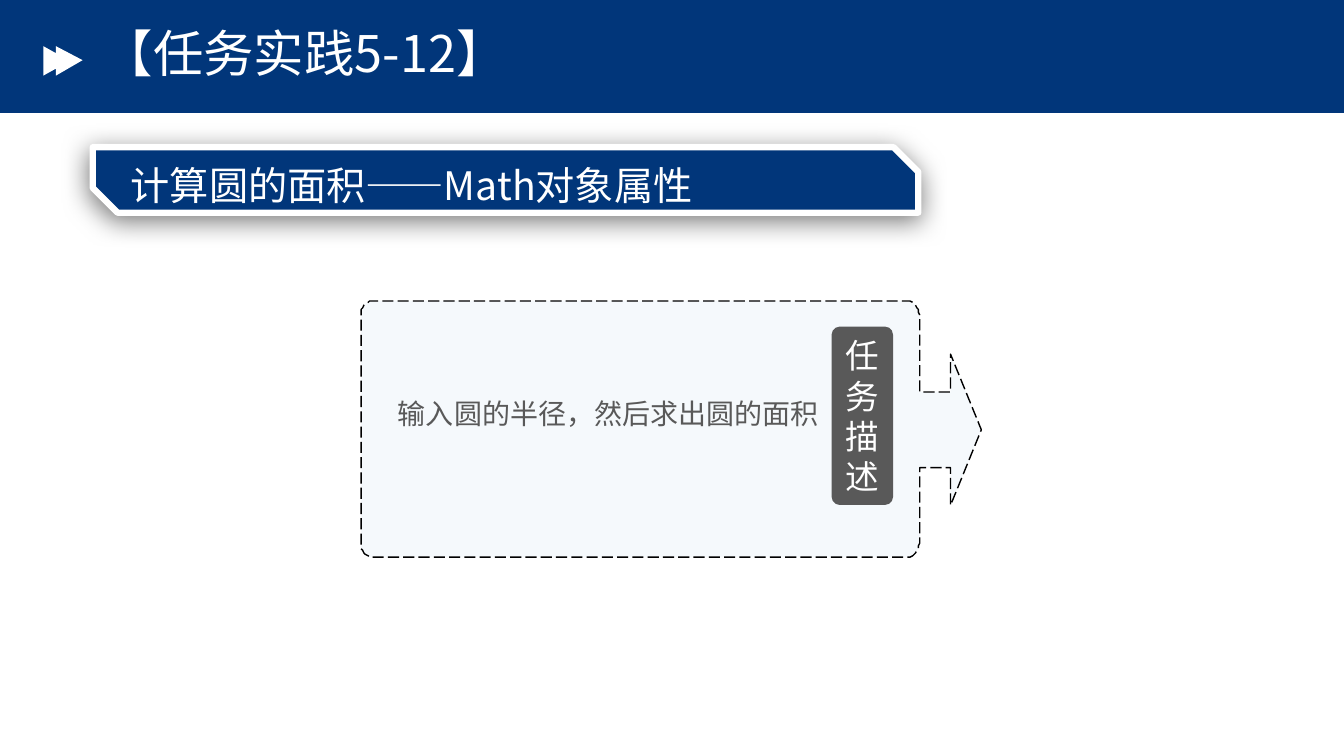
import math
from dataclasses import dataclass

from lxml import etree
from pptx import Presentation
from pptx.dml.color import RGBColor
from pptx.enum import dml, shapes, text
from pptx.oxml import ns
from pptx.util import Pt

COLORS = {"navy": "01367A", "white": "FFFFFF", "pale": "BDD7EE",
          "gray": "595959", "black": "000000"}
CJK = "Noto Sans CJK SC"
Point = tuple[float, float]


@dataclass
class Caption:
    words: str
    size: float
    color: str = "white"
    font: str = CJK
    spacing: float = 1.0
    anchor: text.MSO_ANCHOR = text.MSO_ANCHOR.TOP
    align: text.PP_ALIGN = text.PP_ALIGN.LEFT


@dataclass
class Block:
    box: tuple[float, float, float, float]
    kind: shapes.MSO_SHAPE | None = None  # None makes a plain text box
    fill: str = "navy"
    adjustments: tuple[float, ...] = ()
    caption: Caption | None = None


BLOCKS = {
    "header": Block((0, 0, 960, 80.64), shapes.MSO_SHAPE.RECTANGLE),
    "banner": Block((66.24, 105.12, 589.68, 46.8),
                    shapes.MSO_SHAPE.SNIP_2_DIAG_RECTANGLE, adjustments=(0, 0.378)),
    "title": Block((66.24, 20.16, 473.76, 40.32), caption=Caption(
        "【任务实践5-12】", 36, spacing=0.9, anchor=text.MSO_ANCHOR.MIDDLE)),
    "subject": Block((86.4, 101.52, 532.8, 50.4), caption=Caption(
        "计算圆的面积——Math对象属性", 28, spacing=1.3)),
    "task": Block((277.2, 272.16, 316.8, 36), caption=Caption(
        "输入圆的半径，然后求出圆的面积", 20, "gray", spacing=1.3)),
    "task label": Block((594, 233.28, 43.92, 127.44),
                        shapes.MSO_SHAPE.ROUNDED_RECTANGLE, "gray", (0.133,), Caption(
        "任务描述", 24, font="Calibri", anchor=text.MSO_ANCHOR.MIDDLE,
        align=text.PP_ALIGN.CENTER)),
}


def rgb(name: str) -> RGBColor:
    return RGBColor.from_string(COLORS[name])


def paint(shape, fill: str) -> None:
    shape.shadow.inherit = False
    shape.fill.solid()
    shape.fill.fore_color.rgb = rgb(fill)
    shape.line.fill.background()


def write(shape, caption: Caption) -> None:
    frame = shape.text_frame
    frame.word_wrap = True
    frame.vertical_anchor = caption.anchor
    paragraph = frame.paragraphs[0]
    paragraph.alignment = caption.align
    paragraph.line_spacing = caption.spacing
    run = paragraph.add_run()
    run.text = caption.words
    for attribute, value in {"size": Pt(caption.size), "name": caption.font}.items():
        setattr(run.font, attribute, value)
    run.font.color.rgb = rgb(caption.color)
    etree.SubElement(run._r.get_or_add_rPr(), ns.qn("a:ea"), typeface=caption.font)


def draw_block(slide, block: Block):
    box = [Pt(length) for length in block.box]
    if block.kind is None:
        shape = slide.shapes.add_textbox(*box)
    else:
        shape = slide.shapes.add_shape(block.kind, *box)
        for index, value in enumerate(block.adjustments):
            shape.adjustments[index] = value
        paint(shape, block.fill)
    if block.caption:
        write(shape, block.caption)
    return shape


def draw_outline(slide, points: list[Point], fill: str):
    builder = slide.shapes.build_freeform(*points[0], scale=float(Pt(1)))
    builder.add_line_segments(points[1:], close=True)
    shape = builder.convert_to_shape()
    paint(shape, fill)
    return shape


def corner(x: float, y: float, radius: float, start: int) -> list[Point]:
    """Points of a clockwise quarter circle around (x, y)."""
    angles = [math.radians(start + step) for step in range(0, 91, 10)]
    return [(x + radius * math.cos(a), y + radius * math.sin(a)) for a in angles]


def callout_points() -> list[Point]:
    """Rounded card whose right side carries an arrow."""
    left, top, right, bottom, radius = 257.76, 214.85, 656.64, 398.16, 10
    middle, neck, tip = (top + bottom) / 2, 678.96, 701.28
    arrow = [(right, middle - 27), (neck, middle - 27), (neck, middle - 54),
             (tip, middle), (neck, middle + 54), (neck, middle + 27),
             (right, middle + 27)]
    return (corner(left + radius, top + radius, radius, 180)
            + corner(right - radius, top + radius, radius, 270)
            + arrow
            + corner(right - radius, bottom - radius, radius, 0)
            + corner(left + radius, bottom - radius, radius, 90))


def add_banner_edge(banner) -> None:
    """White border and soft shadow."""
    banner.line.color.rgb = rgb("white")
    banner.line.width = Pt(4.5)
    effects = banner._element.spPr.find(ns.qn("a:effectLst"))
    shadow = etree.SubElement(effects, ns.qn("a:outerShdw"), blurRad=str(Pt(19)),
                              dist=str(Pt(4)), dir=str(112 * 60000),
                              algn="ctr", rotWithShape="0")
    color = etree.SubElement(shadow, ns.qn("a:srgbClr"), val=COLORS["black"])
    etree.SubElement(color, ns.qn("a:alpha"), val="51000")


def draw_callout(slide) -> None:
    card = draw_outline(slide, callout_points(), "pale")
    color = card._element.spPr.find(ns.qn("a:solidFill"))[0]
    etree.SubElement(color, ns.qn("a:alpha"), val="15000")
    card.line.color.rgb = rgb("black")
    for attribute, value in {"width": Pt(1),
                             "dash_style": dml.MSO_LINE.LONG_DASH}.items():
        setattr(card.line, attribute, value)


def main() -> None:
    deck = Presentation()
    deck.slide_width, deck.slide_height = Pt(960), Pt(540)
    slide = deck.slides.add_slide(deck.slide_layouts[6])

    draw_block(slide, BLOCKS["header"])
    draw_outline(slide, [(31.2, 32.9), (40.4, 38.2), (40.4, 32.9), (59, 43.4),
                         (40.4, 53.9), (40.4, 48.6), (31.2, 53.9)], "white")
    add_banner_edge(draw_block(slide, BLOCKS["banner"]))
    for name in ("title", "subject"):
        draw_block(slide, BLOCKS[name])
    draw_callout(slide)
    for name in ("task", "task label"):
        draw_block(slide, BLOCKS[name])
    deck.save("out.pptx")


if __name__ == "__main__":
    main()
